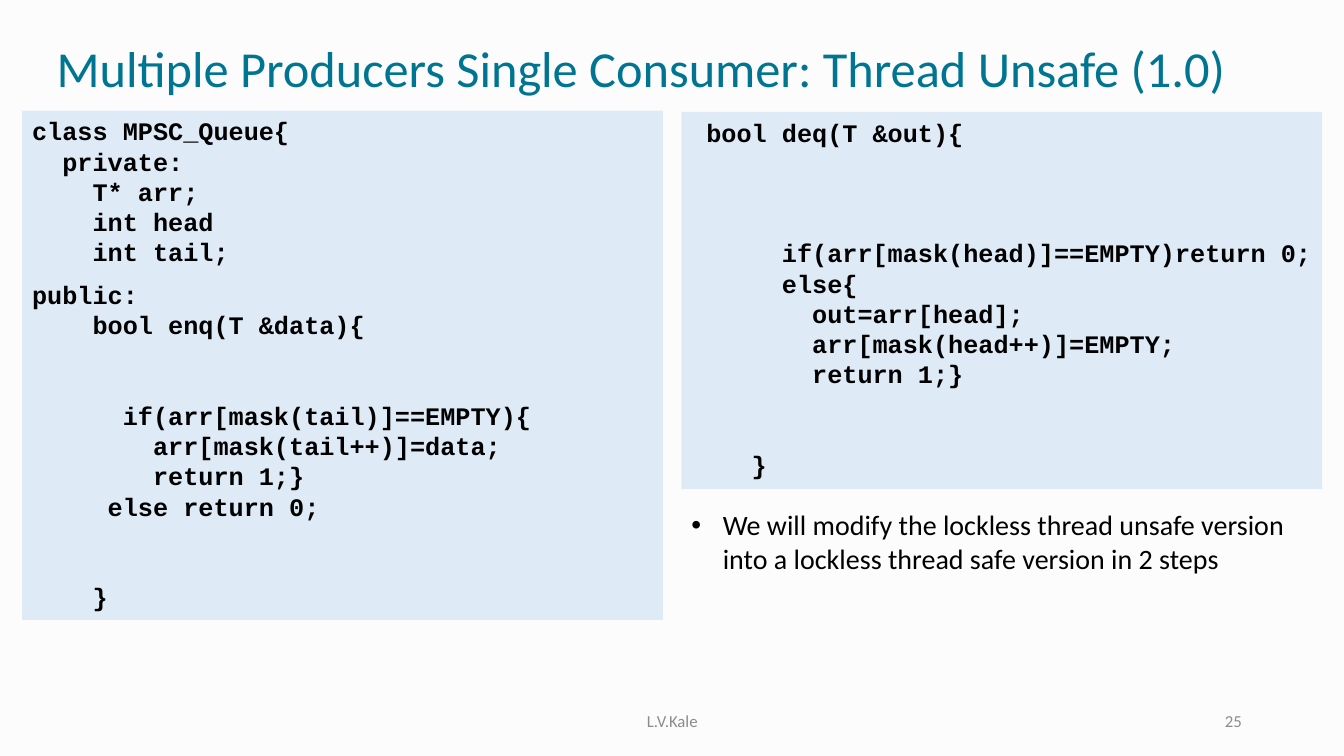
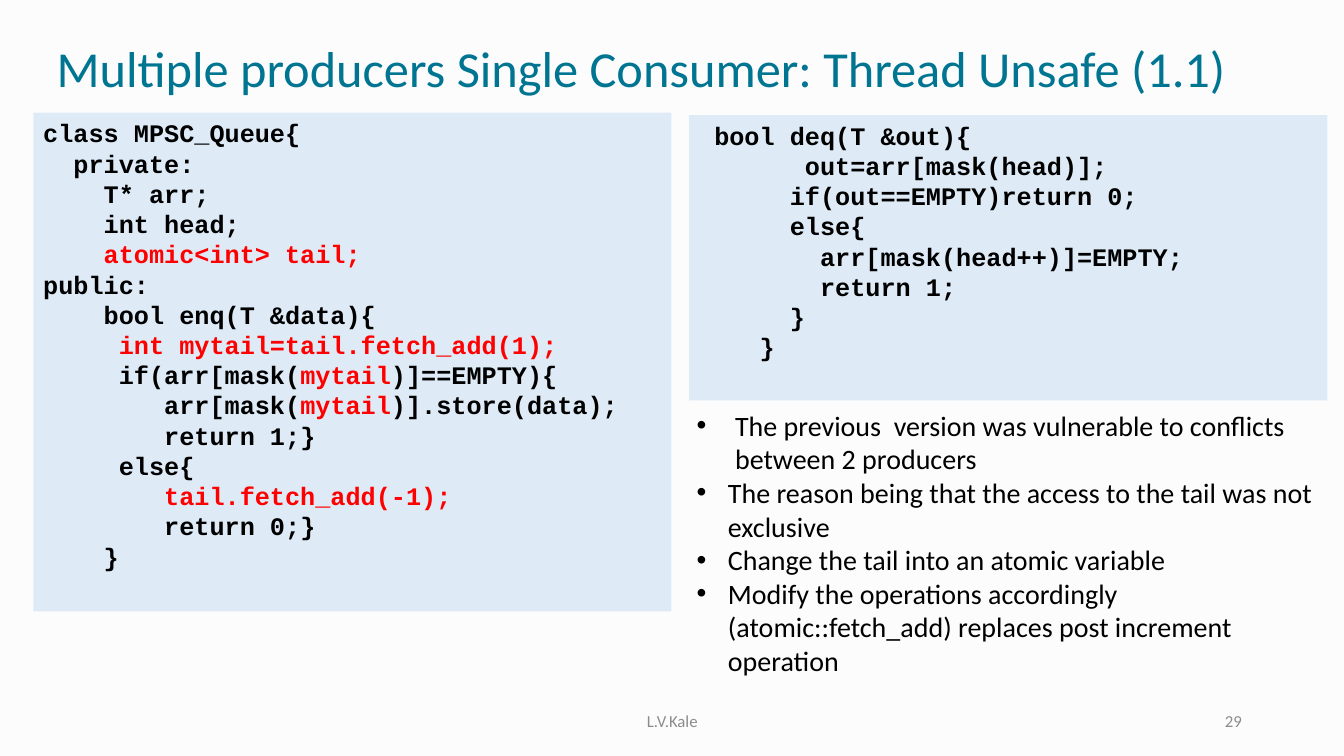
from dataclasses import dataclass

from lxml.etree import SubElement
from pptx import Presentation
from pptx.dml.color import RGBColor
from pptx.enum.shapes import MSO_SHAPE
from pptx.enum.text import MSO_ANCHOR, MSO_AUTO_SIZE, PP_ALIGN
from pptx.oxml.ns import qn
from pptx.slide import Slide, SlideLayout
from pptx.text.text import Font
from pptx.util import Cm, Pt


# Theme: colours, fonts and type sizes
@dataclass(frozen=True)
class Theme:
    background: RGBColor = RGBColor(0xFC, 0xFC, 0xFC)
    title: RGBColor = RGBColor(0x00, 0x75, 0x92)
    text: RGBColor = RGBColor(0x00, 0x00, 0x00)
    change: RGBColor = RGBColor(0xFF, 0x00, 0x00)
    footer: RGBColor = RGBColor(0x8C, 0x8C, 0x8C)
    code_panel: RGBColor = RGBColor(0xDE, 0xEB, 0xF7)
    text_font: str = "Calibri"
    code_font: str = "Courier New"
    title_size: float = 36
    bullet_size: float = 20
    code_size: float = 18
    code_line: float = 21.6
    footer_size: float = 12


THEME = Theme()
AUTHOR = "L.V.Kale"
CHANGE_MARK = "|"  # encloses code drawn in the change colour


@dataclass(frozen=True)
class Box:
    """Left, top, width and height in centimetres."""
    left: float
    top: float
    width: float
    height: float

    def lengths(self) -> tuple[Cm, Cm, Cm, Cm]:
        return Cm(self.left), Cm(self.top), Cm(self.width), Cm(self.height)


@dataclass(frozen=True)
class CodePanel:
    box: Box
    code: str


@dataclass(frozen=True)
class Bullet:
    text: str
    indent: float = 0.79


@dataclass(frozen=True)
class CodeSlide:
    title: str
    number: int
    panels: tuple[CodePanel, ...]
    bullets_box: Box
    bullets: tuple[Bullet, ...]


TITLE_BOX = Box(1.17, 0.71, 31.7, 2.16)
AUTHOR_BOX = Box(11.23, 17.65, 11.43, 1.02)
NUMBER_BOX = Box(23.93, 17.65, 7.62, 1.02)

# Code listings
UNSAFE_FIELDS = """\
class MPSC_Queue{
  private:
    T* arr;
    int head
    int tail;"""

UNSAFE_ENQUEUE = """\
public:
    bool enq(T &data){


      if(arr[mask(tail)]==EMPTY){
        arr[mask(tail++)]=data;
        return 1;}
     else return 0;


    }"""

UNSAFE_DEQUEUE = """\
 bool deq(T &out){



      if(arr[mask(head)]==EMPTY)return 0;
      else{
        out=arr[head];
        arr[mask(head++)]=EMPTY;
        return 1;}


    }"""

ATOMIC_ENQUEUE = """\
class MPSC_Queue{
  private:
    T* arr;
    int head;
    |atomic<int> tail;|
public:
    bool enq(T &data){
     |int mytail=tail.fetch_add(1);|
     if(arr[mask(|mytail|)]==EMPTY){
        arr[mask(|mytail|)].store(data);
        return 1;}
     else{
        |tail.fetch_add(-1);|
        return 0;}
    }"""

ATOMIC_DEQUEUE = """\
 bool deq(T &out){
       out=arr[mask(head)];
      if(out==EMPTY)return 0;
      else{
        arr[mask(head++)]=EMPTY;
        return 1;
      }
    }"""

# Slide contents
SLIDES = (
    CodeSlide(
        "Multiple Producers Single Consumer: Thread Unsafe (1.0)", 25,
        (
            CodePanel(Box(0.56, 2.79, 16.15, 4.12), UNSAFE_FIELDS),
            CodePanel(Box(0.56, 6.91, 16.15, 8.71), UNSAFE_ENQUEUE),
            CodePanel(Box(17.17, 2.82, 16.15, 9.5), UNSAFE_DEQUEUE),
        ),
        Box(17.17, 12.67, 16.15, 1.96),
        (Bullet("We will modify the lockless thread unsafe version "
                "into a lockless thread safe version in 2 steps"),),
    ),
    CodeSlide(
        "Multiple producers Single Consumer: Thread Unsafe (1.1)", 29,
        (
            CodePanel(Box(0.84, 2.84, 16.08, 12.57), ATOMIC_ENQUEUE),
            CodePanel(Box(17.37, 2.9, 16.08, 7.19), ATOMIC_DEQUEUE),
        ),
        Box(17.3, 10.16, 16.15, 7.09),
        (
            Bullet("The previous  version was vulnerable to conflicts "
                   "between 2 producers", 0.97),
            Bullet("The reason being that the access to the tail was not exclusive"),
            Bullet("Change the tail into an atomic variable"),
            Bullet("Modify the operations accordingly (atomic::fetch_add) "
                   "replaces post increment operation"),
        ),
    ),
)


def place(shape, box: Box) -> None:
    shape.left, shape.top, shape.width, shape.height = box.lengths()


def style(font: Font, name: str, size: float, color: RGBColor, bold: bool = False) -> None:
    font.name, font.size, font.bold = name, Pt(size), bold
    font.color.rgb = color


def prepare_layout(layout: SlideLayout) -> None:
    """Set the shared background and title position."""
    fill = layout.slide_master.background.fill
    fill.solid()
    fill.fore_color.rgb = THEME.background
    place(layout.placeholders[0], TITLE_BOX)


def fill_title(slide: Slide, text: str) -> None:
    frame = slide.shapes.title.text_frame
    frame.text = text
    frame.auto_size = MSO_AUTO_SIZE.NONE
    frame.vertical_anchor = MSO_ANCHOR.MIDDLE
    paragraph = frame.paragraphs[0]
    paragraph.alignment = PP_ALIGN.LEFT
    paragraph.line_spacing = 0.9
    style(paragraph.font, THEME.text_font, THEME.title_size, THEME.title)


def add_footer(slide: Slide, text: str, box: Box, alignment: PP_ALIGN) -> None:
    frame = slide.shapes.add_textbox(*box.lengths()).text_frame
    frame.word_wrap = True
    frame.vertical_anchor = MSO_ANCHOR.MIDDLE
    frame.text = text
    paragraph = frame.paragraphs[0]
    paragraph.alignment = alignment
    style(paragraph.font, THEME.text_font, THEME.footer_size, THEME.footer)


def add_code_panel(slide: Slide, panel: CodePanel) -> None:
    """Draw a listing; its empty lines become space before the next line."""
    shape = slide.shapes.add_shape(MSO_SHAPE.RECTANGLE, *panel.box.lengths())
    shape.shadow.inherit = False
    shape.fill.solid()
    shape.fill.fore_color.rgb = THEME.code_panel
    shape.line.fill.background()
    frame = shape.text_frame
    frame.word_wrap = True
    frame.vertical_anchor = MSO_ANCHOR.TOP
    paragraph = frame.paragraphs[0]
    empty_lines = 0
    for index, line in enumerate(panel.code.splitlines()):
        if not line:
            empty_lines += 1
            continue
        if index:
            paragraph = frame.add_paragraph()
        paragraph.alignment = PP_ALIGN.LEFT
        paragraph.line_spacing = Pt(THEME.code_line)
        paragraph.space_before = Pt(THEME.code_line * empty_lines)
        empty_lines = 0
        style(paragraph.font, THEME.code_font, THEME.code_size, THEME.text, bold=True)
        for position, part in enumerate(line.split(CHANGE_MARK)):
            if part:
                run = paragraph.add_run()
                run.text = part
                if position % 2:
                    run.font.color.rgb = THEME.change


def fill_bullets(slide: Slide, box: Box, bullets: tuple[Bullet, ...]) -> None:
    body = slide.placeholders[1]
    place(body, box)
    frame = body.text_frame
    frame.auto_size = MSO_AUTO_SIZE.NONE
    for index, bullet in enumerate(bullets):
        paragraph = frame.add_paragraph() if index else frame.paragraphs[0]
        paragraph.text = bullet.text
        paragraph.space_before = Pt(0)
        properties = paragraph._p.get_or_add_pPr()
        properties.set("marL", str(Cm(bullet.indent)))
        properties.set("indent", str(-Cm(bullet.indent)))
        SubElement(properties, qn("a:buFont"), typeface="Arial")
        SubElement(properties, qn("a:buChar"), char="•")
        style(paragraph.font, THEME.text_font, THEME.bullet_size, THEME.text)


def main() -> None:
    presentation = Presentation()
    presentation.slide_width, presentation.slide_height = Cm(33.87), Cm(19.05)
    layout = presentation.slide_layouts[1]
    prepare_layout(layout)
    for content in SLIDES:
        slide = presentation.slides.add_slide(layout)
        fill_title(slide, content.title)
        add_footer(slide, AUTHOR, AUTHOR_BOX, PP_ALIGN.CENTER)
        add_footer(slide, str(content.number), NUMBER_BOX, PP_ALIGN.RIGHT)
        for panel in content.panels:
            add_code_panel(slide, panel)
        fill_bullets(slide, content.bullets_box, content.bullets)
    presentation.save("out.pptx")


if __name__ == "__main__":
    main()
